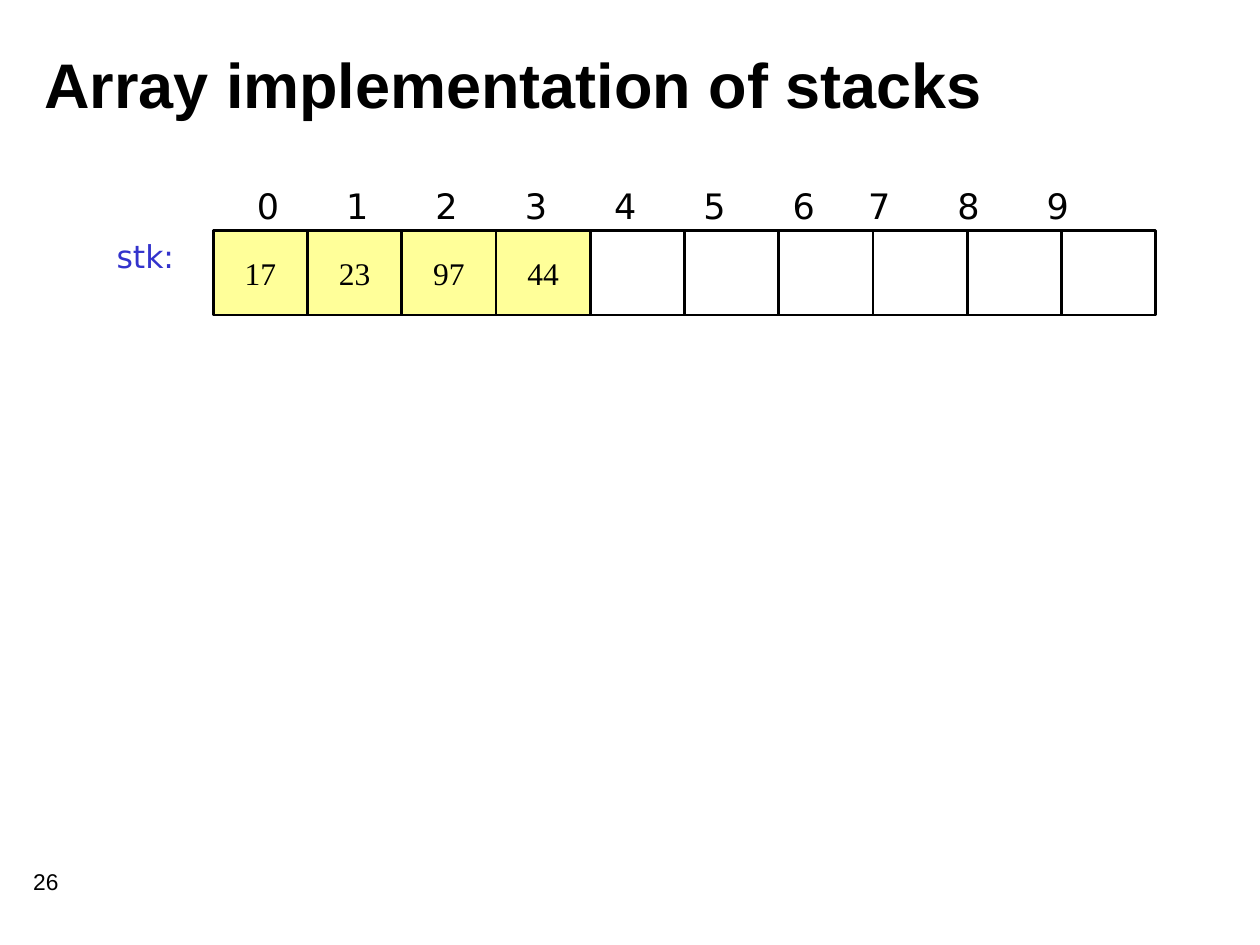
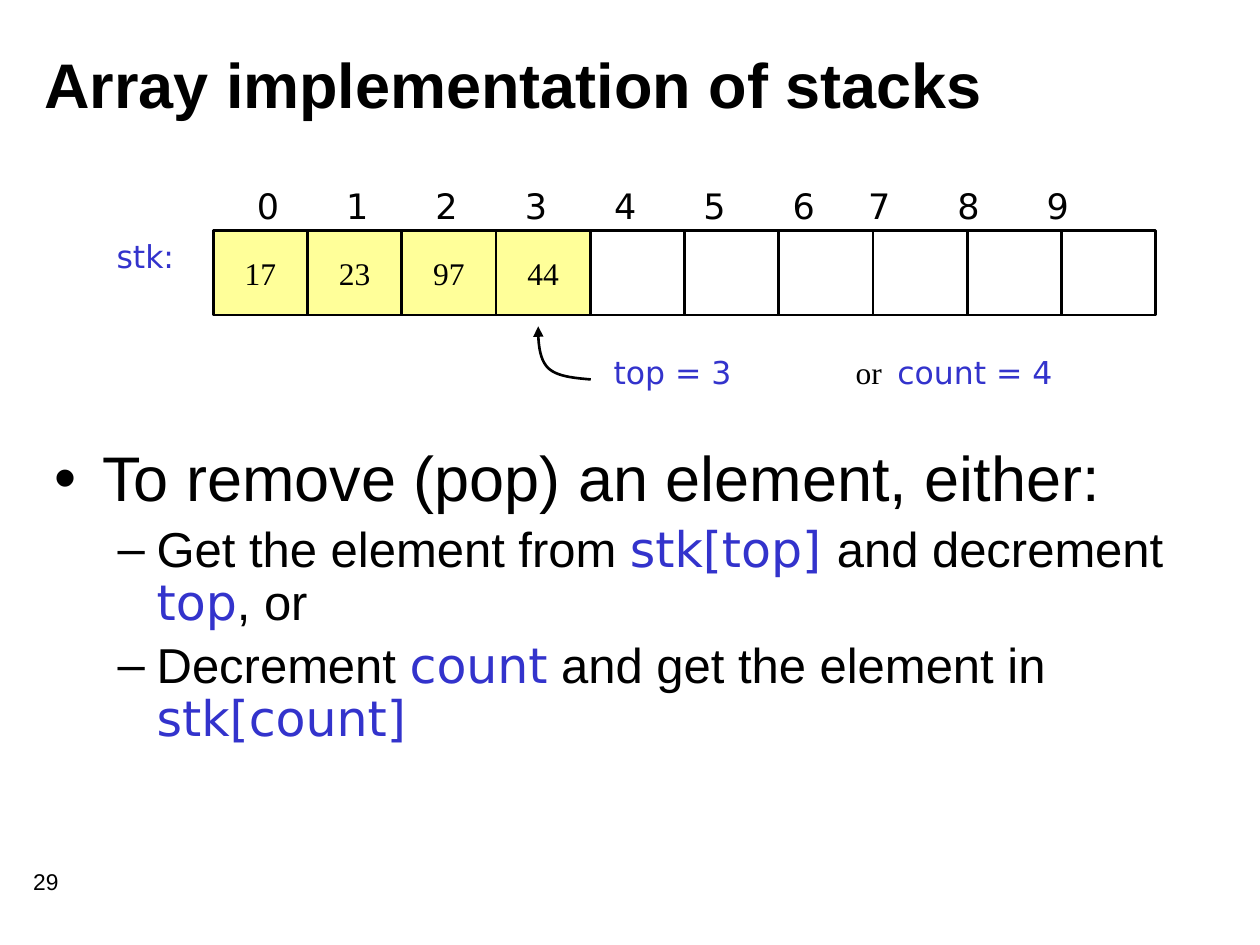
from lxml import etree
from pptx import Presentation
from pptx import util as u
from pptx.dml import color
from pptx.enum import shapes, text
from pptx.oxml import ns

BLACK, BLUE, YELLOW = "000000", "3333CC", "FFFF99"
SANS, CODE, SERIF = "Arial", "DejaVu Sans", "Times New Roman"
TITLE = "Array implementation of stacks"
STACK = ["17", "23", "97", "44"]
SLOTS = 10
LEFT, TOP, WIDE, HIGH = 4.3, 4.65, 1.9, 1.7
LEVELS = [("•", 36, 0.96, 0.96), ("–", 28, 2.06, 0.79)]
POINTS = [
    (0, [("To remove (pop) an element, either:", SANS)]),
    (1, [("Get the element from ", SANS), ("stk[top] ", CODE),
         ("and decrement ", SANS), ("top", CODE), (", or", SANS)]),
    (1, [("Decrement ", SANS), ("count", CODE),
         (" and get the element in ", SANS), ("stk[count]", CODE)]),
]
CURVES = [
    [(11.91, 7.65), (11.56, 7.62), (11.23, 7.59), (11.05, 7.42)],
    [(11.05, 7.42), (10.87, 7.24), (10.85, 6.91), (10.85, 6.58)],
]


def tint(code):
    return color.RGBColor.from_string(code)


def add_run(para, words, font, size, hue=BLACK, bold=False):
    run = para.add_run()
    run.text = words
    run.font.name = font
    run.font.size = u.Pt(size)
    run.font.bold = bold
    run.font.color.rgb = tint(hue)


def add_box(group, left, top, wide, high):
    box = group.add_textbox(u.Cm(left), u.Cm(top), u.Cm(wide), u.Cm(high))
    box.text_frame.word_wrap = True
    return box.text_frame


def add_label(group, place, words, font, size, hue=BLACK):
    para = add_box(group, *place).paragraphs[0]
    add_run(para, words, font, size, hue)
    return para


def set_tabs(para, stops):
    tabs = etree.SubElement(para._p.get_or_add_pPr(), ns.qn("a:tabLst"))
    for stop in stops:
        etree.SubElement(tabs, ns.qn("a:tab"), pos=str(u.Cm(stop)), algn="l")


def set_line(shape):
    shape.shadow.inherit = False
    shape.line.color.rgb = tint(BLACK)
    shape.line.width = u.Pt(1.5)


def add_cell(group, index):
    cell = group.add_shape(
        shapes.MSO_SHAPE.RECTANGLE, u.Cm(LEFT + index * WIDE), u.Cm(TOP),
        u.Cm(WIDE), u.Cm(HIGH))
    set_line(cell)
    if index >= len(STACK):
        cell.fill.background()
        return
    cell.fill.solid()
    cell.fill.fore_color.rgb = tint(YELLOW)
    frame = cell.text_frame
    frame.word_wrap = False
    frame.vertical_anchor = text.MSO_ANCHOR.MIDDLE
    para = frame.paragraphs[0]
    para.alignment = text.PP_ALIGN.CENTER
    add_run(para, STACK[index], SERIF, 18)


def add_array(slide):
    group = slide.shapes.add_group_shape().shapes
    marks = "\t".join(str(index) for index in range(SLOTS))
    para = add_label(group, (4.93, 3.6, 19.48, 1.1), marks, CODE, 20)
    set_tabs(para, [1.8 * index - (0.28 if index > 6 else 0)
                    for index in range(1, SLOTS)])
    for index in range(SLOTS):
        add_cell(group, index)
    add_label(group, (2.1, TOP, 2.2, 1.27), "stk:", CODE, 18, BLUE)


def trace(curve, steps=12):
    for step in range(1, steps + 1):
        t = step / steps
        parts = ((1 - t) ** 3, 3 * t * (1 - t) ** 2, 3 * t * t * (1 - t), t ** 3)
        yield tuple(u.Cm(sum(part * spot[axis] for part, spot in zip(parts, curve)))
                    for axis in (0, 1))


def add_arrow(group):
    start = CURVES[0][0]
    pen = group.build_freeform(u.Cm(start[0]), u.Cm(start[1]))
    pen.add_line_segments([spot for curve in CURVES for spot in trace(curve)],
                          close=False)
    arrow = pen.convert_to_shape()
    arrow.fill.background()
    set_line(arrow)
    etree.SubElement(arrow.line._get_or_add_ln(), ns.qn("a:tailEnd"),
                     type="triangle")


def add_top(slide):
    group = slide.shapes.add_group_shape().shapes
    add_label(group, (12.12, 6.99, 4.65, 1.27), "top = 3", CODE, 18, BLUE)
    add_arrow(group)
    para = add_label(slide.shapes, (17, 6.99, 7.4, 1.27), "or\t", SERIF, 18)
    add_run(para, "count = 4", CODE, 18, BLUE)
    set_tabs(para, [0.84])


def add_points(slide):
    frame = add_box(slide.shapes, 0.85, 8.89, 23.92, 7.83)
    for index, (level, runs) in enumerate(POINTS):
        para = frame.add_paragraph() if index else frame.paragraphs[0]
        mark, size, margin, hang = LEVELS[level]
        para.level = level
        para.line_spacing = 0.9
        para.space_before = u.Pt(size * 0.2)
        props = para._p.get_or_add_pPr()
        props.set("marL", str(u.Cm(margin)))
        props.set("indent", str(-u.Cm(hang)))
        etree.SubElement(props, ns.qn("a:buFont"), typeface=SANS)
        etree.SubElement(props, ns.qn("a:buChar"), char=mark)
        for words, font in runs:
            add_run(para, words, font, size, BLUE if font == CODE else BLACK)


def add_slide(deck, number):
    slide = deck.slides.add_slide(deck.slide_layouts[6])
    add_label(slide.shapes, (0.42, 17.36, 5.29, 1.27), number, SANS, 13)
    frame = add_box(slide.shapes, 0.64, 0.42, 20.75, 2.54)
    frame.vertical_anchor = text.MSO_ANCHOR.MIDDLE
    add_run(frame.paragraphs[0], TITLE, SANS, 36, bold=True)
    add_array(slide)
    return slide


def main():
    deck = Presentation()
    deck.slide_width, deck.slide_height = u.Cm(25.4), u.Cm(19.05)
    add_slide(deck, "26")
    slide = add_slide(deck, "29")
    add_points(slide)
    add_top(slide)
    deck.save("out.pptx")


if __name__ == "__main__":
    main()
